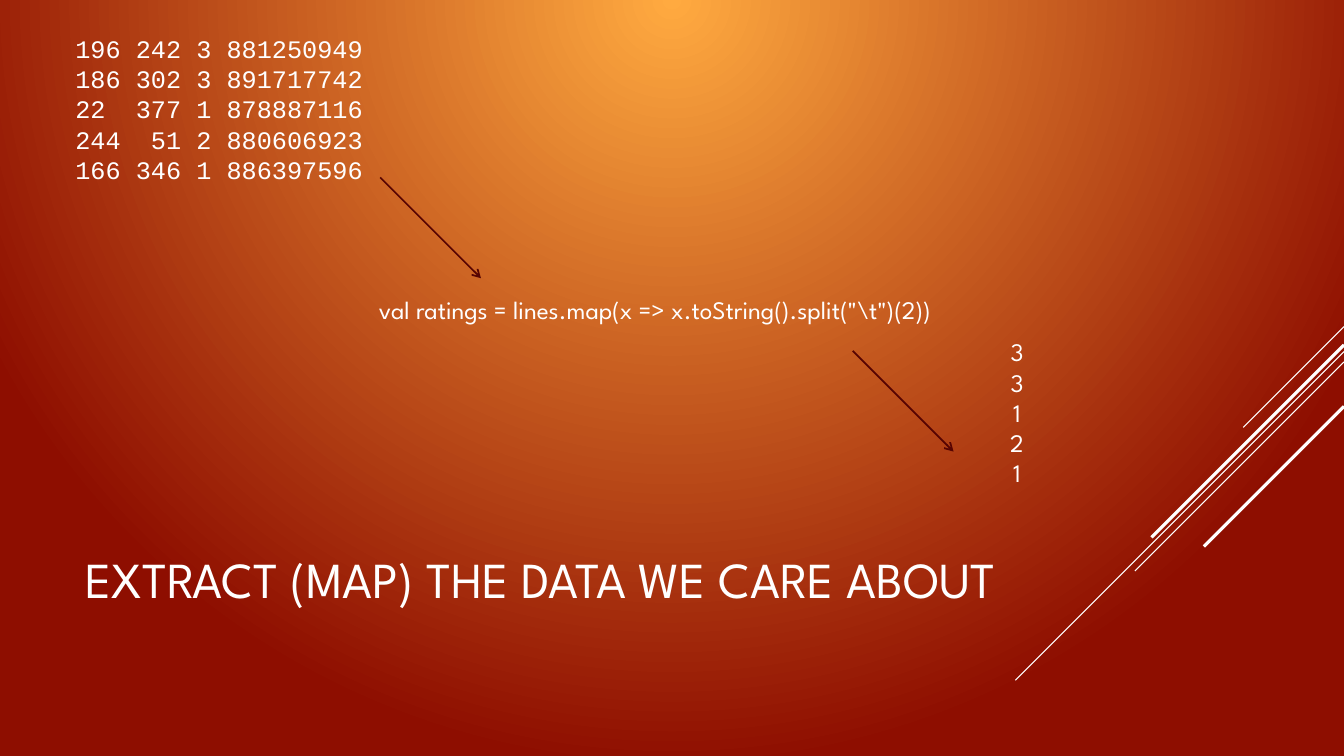
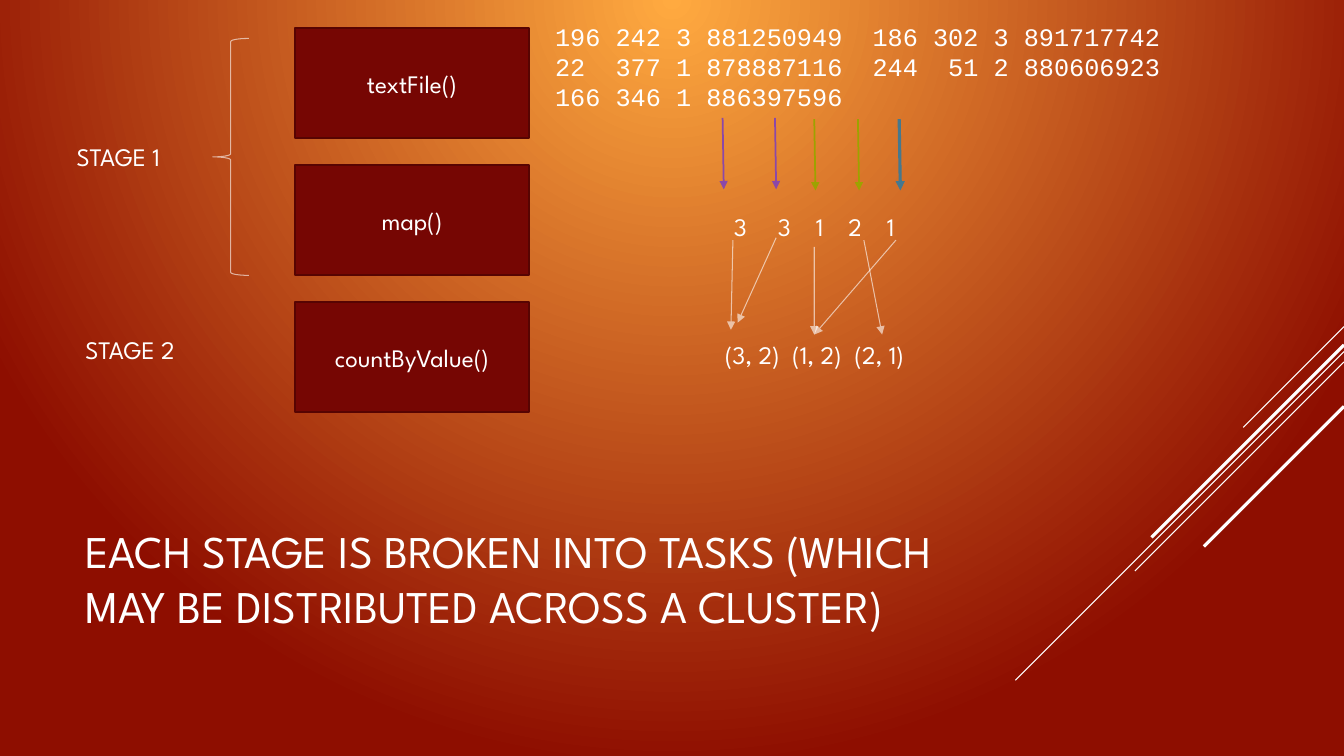
from pptx import Presentation
from pptx.dml.color import RGBColor
from pptx.enum.shapes import MSO_CONNECTOR, MSO_SHAPE
from pptx.enum.text import MSO_ANCHOR, PP_ALIGN
from pptx.oxml.ns import qn
from pptx.oxml.xmlchemy import OxmlElement
from pptx.util import Cm, Pt

STRAIGHT = MSO_CONNECTOR.STRAIGHT
RECT, BRACE = MSO_SHAPE.RECTANGLE, MSO_SHAPE.LEFT_BRACE
TOP, MIDDLE = MSO_ANCHOR.TOP, MSO_ANCHOR.MIDDLE
LEFT, CENTER = PP_ALIGN.LEFT, PP_ALIGN.CENTER

COLORS = {
    "glow": "FFAA40", "edge": "8E0E00", "white": "FFFFFF",
    "box": "760603", "dark": "570402",
    "purple": "8B48A8", "olive": "9DA200", "blue": "46788D",
}
RGB = {name: RGBColor.from_string(value) for name, value in COLORS.items()}
SANS, MONO = "League Spartan", "Courier New"
WIDTH, HEIGHT = 33.87, 19.05

# Top of each 45-degree stripe at the right edge, its extent, its weight
STRIPES = [(8.23, 2.54, 0.75), (8.86, 8.28, 0.75), (9.12, 5.27, 0.75),
           (8.69, 4.85, 2.25), (10.24, 3.53, 2.25)]
TITLES = [("EXTRACT (MAP) THE DATA WE CARE ABOUT", 36),
          ("EACH STAGE IS BROKEN INTO TASKS (WHICH MAY BE DISTRIBUTED "
           "ACROSS A CLUSTER)", 32.4)]


def write_text(sp, lines, font=SANS, size=18, align=LEFT, anchor=TOP,
               wrap=True):
    tf = sp.text_frame
    tf.word_wrap = wrap
    tf.vertical_anchor = anchor
    tf.text = "\n".join(lines)
    for p in tf.paragraphs:
        p.alignment = align
        p.font.name = font
        p.font.size = Pt(size)
        p.font.color.rgb = RGB["white"]


def add_line(s, x1, y1, x2, y2, color, weight, head=None, opacity=None):
    """Draw a line in cm; head is an arrowhead type, opacity a percentage."""
    line = s.shapes.add_connector(STRAIGHT, Cm(x1), Cm(y1), Cm(x2), Cm(y2))
    line.line.color.rgb = RGB[color]
    line.line.width = Pt(weight)
    props = line._element.spPr
    if opacity:
        alpha = OxmlElement("a:alpha")
        alpha.set("val", str(opacity * 1000))
        props.find(".//" + qn("a:srgbClr")).append(alpha)
    if head:
        tail = OxmlElement("a:tailEnd")
        tail.set("type", head)
        props.find(qn("a:ln")).append(tail)
    props.append(OxmlElement("a:effectLst"))


prs = Presentation()
prs.slide_width, prs.slide_height = Cm(WIDTH), Cm(HEIGHT)

# Shared background: a glow from the top edge
master = prs.slide_master
fill = master.background.fill
fill.gradient()
for stop, name in zip(fill.gradient_stops, ("glow", "edge")):
    stop.color.rgb = RGB[name]
grad = master.element.find(".//" + qn("a:gradFill"))
grad.remove(grad.find(qn("a:lin")))
circle = OxmlElement("a:path")
circle.set("path", "circle")
focus = OxmlElement("a:fillToRect")
focus.set("b", "100000")
circle.append(focus)
grad.find(qn("a:gsLst")).addnext(circle)

# Shared stripes and title
for title, size in TITLES:
    s = prs.slides.add_slide(prs.slide_layouts[6])
    for y, extent, weight in STRIPES:
        add_line(s, WIDTH, y, WIDTH - extent, y + extent, "white", weight)
    sp = s.shapes.add_textbox(Cm(1.9), Cm(12.47), Cm(23.7), Cm(4.19))
    write_text(sp, [title], size=size, anchor=MIDDLE)
extract, stages = prs.slides

# Slide 1: from raw lines to ratings
sp = extract.shapes.add_textbox(Cm(1.65), Cm(0.71), Cm(8.46), Cm(4.88))
write_text(sp, ["196 242 3 881250949", "186 302 3 891717742",
                "22  377 1 878887116", "244  51 2 880606923",
                "166 346 1 886397596"], font=MONO)
sp = extract.shapes.add_textbox(Cm(9.3), Cm(7.29), Cm(17.63), Cm(1.02))
write_text(sp, ['val ratings = lines.map(x => x.toString().split("\\t")(2))'])
sp = extract.shapes.add_textbox(Cm(21.82), Cm(8.36), Cm(7.62), Cm(4.11))
write_text(sp, ["3", "3", "1", "2", "1"], align=CENTER)
for x, y in [(9.58, 4.47), (21.49, 8.84)]:
    add_line(extract, x, y, x + 2.54, y + 2.54, "dark", 1.25, "arrow")

# Slide 2: operations grouped into stages
for i, operation in enumerate(["textFile()", "map()", "countByValue()"]):
    sp = stages.shapes.add_shape(RECT, Cm(7.44), Cm(0.71 + 3.45 * i),
                                 Cm(5.89), Cm(2.77))
    sp.shadow.inherit = False
    sp.fill.solid()
    sp.fill.fore_color.rgb = RGB["box"]
    sp.line.color.rgb = RGB["dark"]
    sp.line.width = Pt(1.25)
    write_text(sp, [operation], align=CENTER, anchor=MIDDLE)

brace = stages.shapes.add_shape(BRACE, Cm(5.36), Cm(0.97), Cm(0.91), Cm(5.97))
brace.shadow.inherit = False
brace.fill.background()
brace.line.color.rgb = RGB["white"]
brace.line.width = Pt(0.75)
alpha = OxmlElement("a:alpha")
alpha.set("val", "60000")
brace._element.spPr.find(".//" + qn("a:srgbClr")).append(alpha)

for x, y, stage in [(1.68, 3.43, "STAGE 1"), (1.9, 8.31, "STAGE 2")]:
    sp = stages.shapes.add_textbox(Cm(x), Cm(y), Cm(3.02), Cm(1.02))
    write_text(sp, [stage], wrap=False)

# Slide 2: the data after each operation
sp = stages.shapes.add_textbox(Cm(13.74), Cm(0.41), Cm(16.94), Cm(2.57))
write_text(sp, ["196 242 3 881250949  186 302 3 891717742",
                "22  377 1 878887116  244  51 2 880606923",
                "166 346 1 886397596"], font=MONO)

RATINGS = [(18.66, "3"), (19.77, "3"), (20.66, "1"), (21.55, "2"), (22.45, "1")]
COUNTS = [(18.96, "(3, 2)"), (20.59, "(1, 2)"), (22.16, "(2, 1)")]
for y, values in [(5.19, RATINGS), (8.43, COUNTS)]:
    for center, value in values:
        sp = stages.shapes.add_textbox(Cm(center - 1), Cm(y), Cm(2), Cm(1.02))
        write_text(sp, [value], align=CENTER)

for x1, y1, x2, y2 in [(18.47, 6.05, 18.42, 8.31), (19.56, 5.99, 18.59, 8.13),
                       (20.52, 6.22, 20.52, 8.43), (21.77, 6.05, 22.23, 8.43),
                       (22.58, 6.05, 20.52, 8.43)]:
    add_line(stages, x1, y1, x2, y2, "white", 0.75, "triangle", opacity=60)

for x, y, color, weight in [(18.21, 2.97, "purple", 1.25),
                            (19.53, 2.97, "purple", 1.25),
                            (20.52, 3, "olive", 1.25),
                            (21.62, 3, "olive", 1.25),
                            (22.66, 3, "blue", 2.25)]:
    add_line(stages, x, y, x + 0.03, y + 1.8, color, weight, "triangle")

prs.save("out.pptx")
